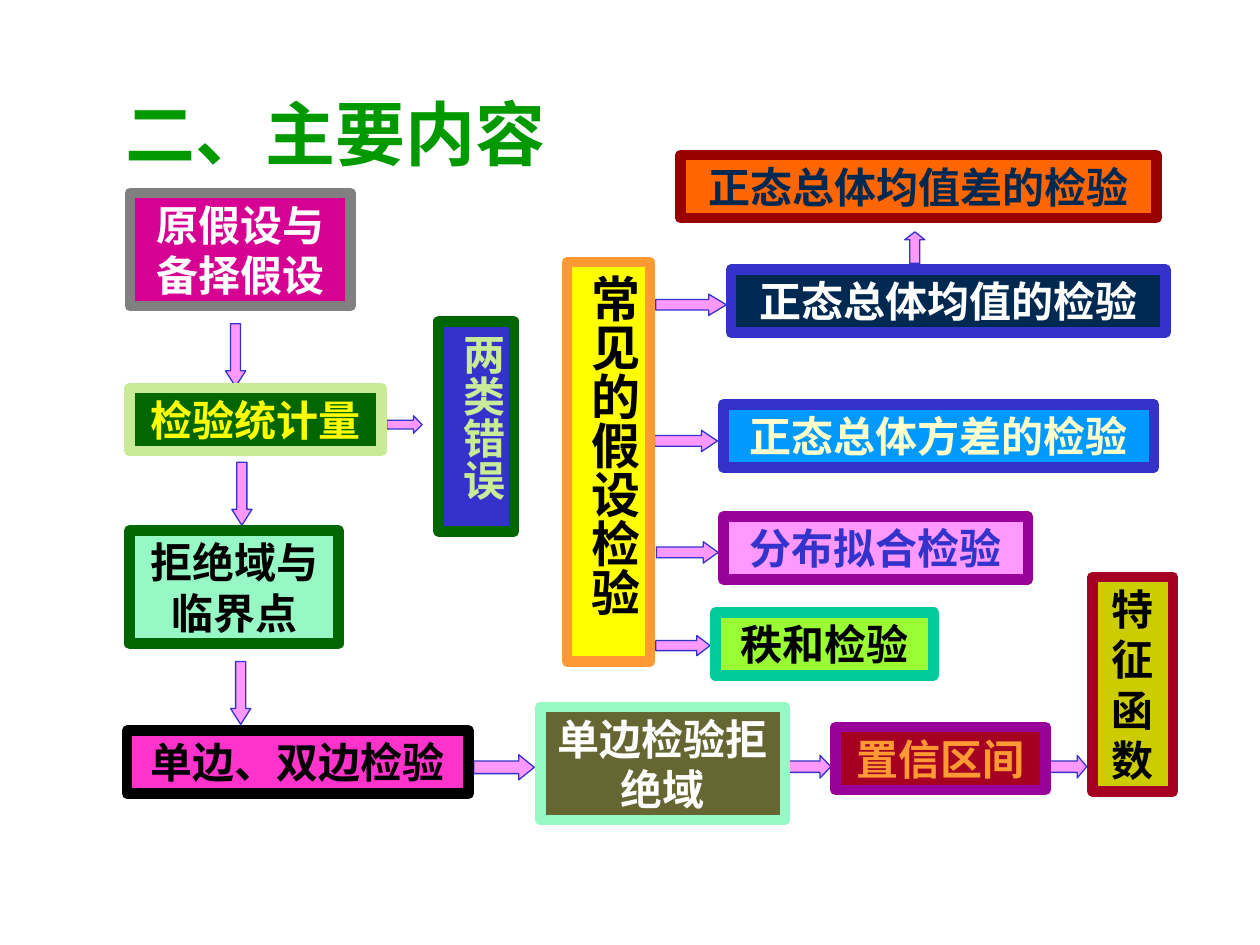
from dataclasses import dataclass

from pptx import Presentation
from pptx.dml.color import RGBColor
from pptx.enum.shapes import MSO_SHAPE
from pptx.enum.text import MSO_ANCHOR, MSO_AUTO_SIZE, PP_ALIGN
from pptx.slide import Slide
from pptx.text.text import TextFrame
from pptx.util import Pt

FONT = "Times New Roman"
COLORS = {
    "white": "FFFFFF", "black": "000000", "gray": "808080",
    "title green": "009900", "magenta": "D60093", "hot pink": "FF33CC",
    "pink": "FF99FF", "blue": "3333CC", "sky": "0099FF", "navy": "002952",
    "yellow": "FFFF00", "cream": "FFFFCC", "orange": "FF9933",
    "deep orange": "FF6600", "brick": "990000", "crimson": "A50021",
    "purple": "990099", "olive": "666633", "mustard": "CCCC00",
    "mint": "96F8C5", "pale green": "C9EB97", "dark green": "006600",
    "lime": "99FF33", "teal": "00CC99",
}


@dataclass
class Topic:
    text: str
    left: float
    top: float
    width: float
    height: float
    fill: str
    border: str
    ink: str
    size: float = 24
    vertical: bool = False


@dataclass
class Arrow:
    kind: MSO_SHAPE
    left: float
    top: float
    width: float
    height: float
    head: float  # head length as a share of the arrow's thickness


RIGHT, DOWN, UP = MSO_SHAPE.RIGHT_ARROW, MSO_SHAPE.DOWN_ARROW, MSO_SHAPE.UP_ARROW
ROW = 36  # height of a one-line topic
DOUBLE = 64.8  # height of a two-line topic

TOPICS = [
    # Left column
    Topic("原假设与备择假设", 74.2, 110.2, 126, DOUBLE, "magenta", "gray", "white"),
    Topic("检验统计量", 74, 221.8, 144, ROW, "dark green", "pale green", "yellow"),
    Topic("拒绝域与临界点", 74, 303.1, 119.5, DOUBLE, "mint", "dark green", "black"),
    Topic("单边、双边检验", 72.7, 417.6, 195.1, ROW, "hot pink", "black", "black"),
    # Vertical topics
    Topic("两类错误", 250.6, 183.6, 43.2, 120.2, "blue", "dark green", "pale green",
          vertical=True),
    Topic("常见的假设检验", 324, 149.8, 47.5, 228.2, "yellow", "orange", "black",
          size=28, vertical=True),
    # Common tests
    Topic("正态总体均值差的检验", 388.8, 88.6, 272.2, ROW, "deep orange", "brick", "navy"),
    Topic("正态总体均值的检验", 417.6, 154.1, 248.4, ROW, "navy", "blue", "white"),
    Topic("正态总体方差的检验", 413.3, 231.1, 246.2, ROW, "sky", "blue", "cream"),
    Topic("分布拟合检验", 413.3, 295.2, 174.2, ROW, "pink", "purple", "blue"),
    Topic("秩和检验", 409, 350, 124.6, ROW, "lime", "teal", "black"),
    # Bottom row
    Topic("单边检验拒绝域", 308.9, 403.9, 139.7, DOUBLE, "olive", "mint", "white"),
    Topic("置信区间", 477.4, 415.4, 120.2, ROW, "crimson", "purple", "orange"),
    Topic("特征函数", 624.2, 329.8, 46.1, 122.4, "mustard", "crimson", "black"),
]

ARROWS = [
    # Down the left column
    Arrow(DOWN, 128.9, 185, 11.5, 36, 0.79),
    Arrow(DOWN, 132.5, 264.2, 11.5, 36, 0.79),
    Arrow(DOWN, 131.8, 378, 11.5, 36, 0.79),
    Arrow(RIGHT, 221, 237.6, 20.2, 10.1, 0.49),
    # Out to the common tests
    Arrow(RIGHT, 374.8, 168.1, 40.3, 12.2, 0.83),
    Arrow(RIGHT, 374, 245.9, 36, 12.2, 0.75),
    Arrow(RIGHT, 375.1, 309.6, 35.3, 12.2, 0.7),
    Arrow(RIGHT, 374.8, 363.2, 31, 11.5, 0.66),
    Arrow(UP, 517, 132.5, 11.5, 18, 0.39),
    # Along the bottom row
    Arrow(RIGHT, 270.7, 431.3, 34.6, 14.4, 0.62),
    Arrow(RIGHT, 449.6, 431.6, 25.2, 13, 0.48),
    Arrow(RIGHT, 600.1, 431.6, 20.9, 13, 0.42),
]


def color(name: str) -> RGBColor:
    return RGBColor.from_string(COLORS[name])


def write(frame: TextFrame, text: str, size: float, ink: str, align: PP_ALIGN) -> None:
    frame.word_wrap = True
    frame.auto_size = MSO_AUTO_SIZE.SHAPE_TO_FIT_TEXT
    paragraph = frame.paragraphs[0]
    paragraph.alignment = align
    span = paragraph.add_run()
    span.text = text
    span.font.name = FONT
    span.font.size = Pt(size)
    span.font.bold = True
    span.font.color.rgb = color(ink)


def add_filled(page: Slide, kind: MSO_SHAPE, item: Topic | Arrow,
               fill: str, border: str, weight: float):
    shape = page.shapes.add_shape(kind, Pt(item.left), Pt(item.top),
                                  Pt(item.width), Pt(item.height))
    shape.shadow.inherit = False
    shape.fill.solid()
    shape.fill.fore_color.rgb = color(fill)
    shape.line.color.rgb = color(border)
    shape.line.width = Pt(weight)
    return shape


def draw_topic(page: Slide, topic: Topic) -> None:
    box = add_filled(page, MSO_SHAPE.RECTANGLE, topic, topic.fill, topic.border, 6)
    frame = box.text_frame
    frame.vertical_anchor = MSO_ANCHOR.TOP
    across, along = (3.6, 7.2) if topic.vertical else (7.2, 3.6)
    frame.margin_left = frame.margin_right = Pt(across)
    frame.margin_top = frame.margin_bottom = Pt(along)
    if topic.vertical:
        box.element.txBody.bodyPr.set("vert", "eaVert")
    write(frame, topic.text, topic.size, topic.ink, PP_ALIGN.CENTER)


def draw_arrow(page: Slide, arrow: Arrow) -> None:
    shape = add_filled(page, arrow.kind, arrow, "pink", "blue", 0.75)
    shape.adjustments[0] = 0.5
    shape.adjustments[1] = arrow.head


def main() -> None:
    deck = Presentation()
    deck.slide_width, deck.slide_height = Pt(720), Pt(540)
    page = deck.slides.add_slide(deck.slide_layouts[6])

    # Arrows lie beneath the topics
    for arrow in ARROWS:
        draw_arrow(page, arrow)
    for topic in TOPICS:
        draw_topic(page, topic)

    # Title
    title = page.shapes.add_textbox(Pt(64.8), Pt(48.2), Pt(612), Pt(55.4))
    title.text_frame.vertical_anchor = MSO_ANCHOR.MIDDLE
    write(title.text_frame, "二、主要内容", 40, "title green", PP_ALIGN.LEFT)

    deck.save("out.pptx")


if __name__ == "__main__":
    main()
